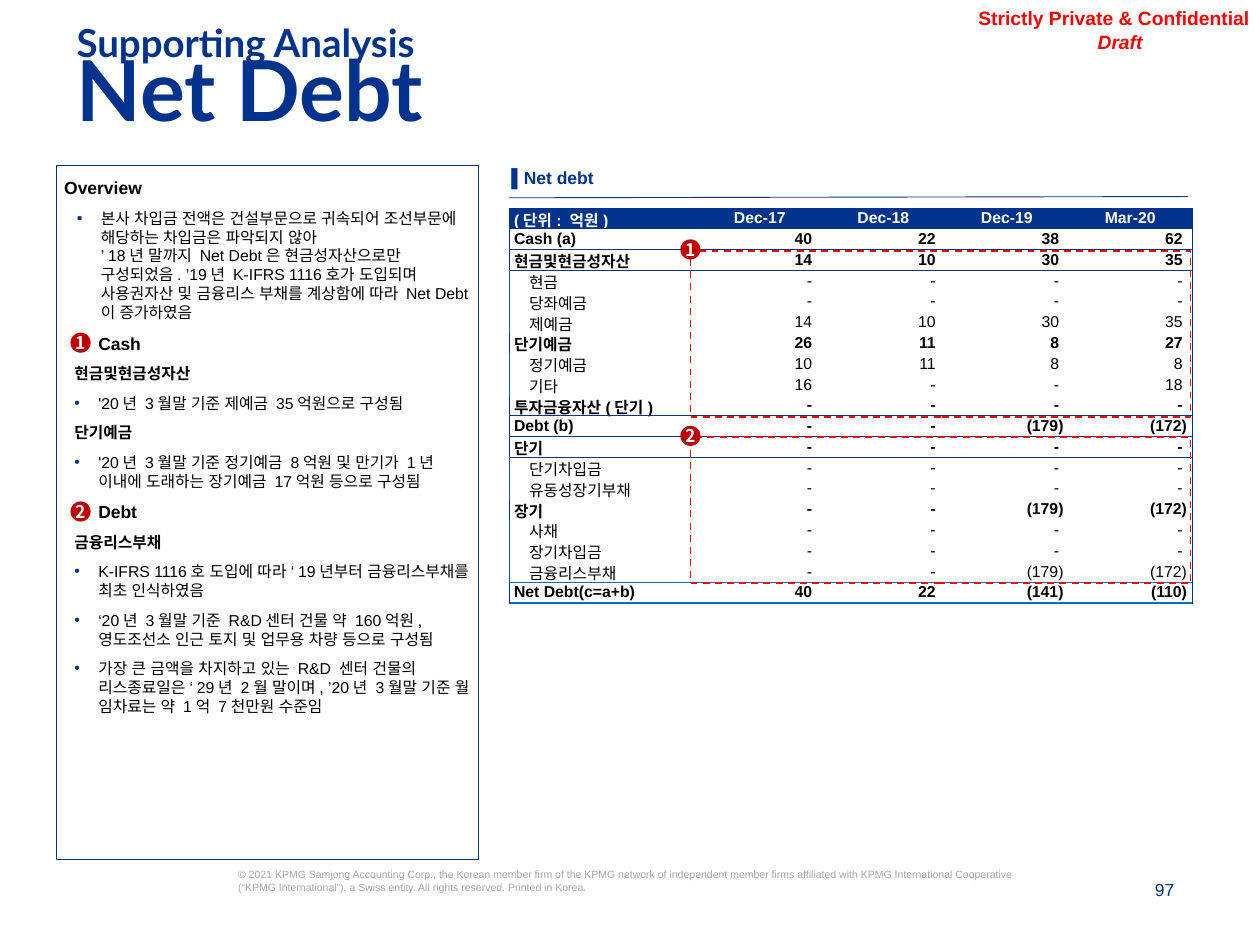
from copy import deepcopy
from itertools import groupby

from lxml import etree
from pptx import Presentation
from pptx.dml.color import RGBColor
from pptx.enum import dml, shapes, text
from pptx.oxml.ns import qn
from pptx.util import Inches, Pt

NAVY = RGBColor(0x00, 0x33, 0x8D)
BLUE = RGBColor(0x00, 0x5E, 0xB8)
SKY = RGBColor(0x00, 0x70, 0xC0)
RED = RGBColor(0xFF, 0x00, 0x00)
CRIMSON = RGBColor(0xC0, 0x00, 0x00)
GREY = RGBColor(0xA6, 0xA6, 0xA6)
BLACK = RGBColor(0x00, 0x00, 0x00)
WHITE = RGBColor(0xFF, 0xFF, 0xFF)
LATIN, KOREAN, TITLE = "Arial", "Noto Sans CJK KR", "Lato"
LEFT, CENTER, RIGHT = text.PP_ALIGN.LEFT, text.PP_ALIGN.CENTER, text.PP_ALIGN.RIGHT
TOP, MIDDLE, BOTTOM = text.MSO_ANCHOR.TOP, text.MSO_ANCHOR.MIDDLE, text.MSO_ANCHOR.BOTTOM
NO_STYLE = "{2D5ABB26-0587-4C30-8999-92F81FD0307C}"

OVERVIEW = [
    ("heading", "Overview"),
    ("square", "본사 차입금 전액은 건설부문으로 귀속되어 조선부문에 해당하는 차입금은 파악되지 않아\n"
     "’18년 말까지 Net Debt은 현금성자산으로만 구성되었음. ’19년 K-IFRS 1116호가 도입되며 "
     "사용권자산 및 금융리스 부채를 계상함에 따라 Net Debt이 증가하였음"),
    ("section", "Cash"),
    ("topic", "현금및현금성자산"),
    ("bullet", "'20년 3월말 기준 제예금 35억원으로 구성됨"),
    ("topic", "단기예금"),
    ("bullet", "'20년 3월말 기준 정기예금 8억원 및 만기가 1년 이내에 도래하는 장기예금 17억원 등으로 구성됨"),
    ("section", "Debt"),
    ("topic", "금융리스부채"),
    ("bullet", "K-IFRS 1116호 도입에 따라 ‘19년부터 금융리스부채를 최초 인식하였음"),
    ("bullet", "‘20년 3월말 기준 R&D센터 건물 약 160억원, 영도조선소 인근 토지 및 업무용 차량 등으로 구성됨"),
    ("bullet", "가장 큰 금액을 차지하고 있는 R&D 센터 건물의 리스종료일은 ‘29년 2월 말이며, "
     "’20년 3월말 기준 월 임차료는 약 1억 7천만원 수준임"),
]
OVERVIEW_STYLES = {
    "heading": dict(size=10, bold=True, spacing=1.2),
    "square": dict(margin=0.29, indent=-0.19, bullet="▪"),
    "section": dict(size=10, bold=True, margin=0.27),
    "topic": dict(bold=True, margin=0.08),
    "bullet": dict(margin=0.27, indent=-0.19, bullet="•"),
}
NET_DEBT = [
    ("total", "(단위: 억원)", "Dec-17", "Dec-18", "Dec-19", "Mar-20"),
    ("total", "Cash (a)", "40", "22", "38", "62"),
    ("group", "현금및현금성자산", "14", "10", "30", "35"),
    ("item", "현금", "-", "-", "-", "-"),
    ("item", "당좌예금", "-", "-", "-", "-"),
    ("item", "제예금", "14", "10", "30", "35"),
    ("group", "단기예금", "26", "11", "8", "27"),
    ("item", "정기예금", "10", "11", "8", "8"),
    ("item", "기타", "16", "-", "-", "18"),
    ("group", "투자금융자산(단기)", "-", "-", "-", "-"),
    ("total", "Debt (b)", "-", "-", "(179)", "(172)"),
    ("group", "단기", "-", "-", "-", "-"),
    ("item", "단기차입금", "-", "-", "-", "-"),
    ("item", "유동성장기부채", "-", "-", "-", "-"),
    ("group", "장기", "-", "-", "(179)", "(172)"),
    ("item", "사채", "-", "-", "-", "-"),
    ("item", "장기차입금", "-", "-", "-", "-"),
    ("item", "금융리스부채", "-", "-", "(179)", "(172)"),
    ("total", "Net Debt(c=a+b)", "40", "22", "(141)", "(110)"),
]
RULES_BELOW = {-1: (NAVY, 0.5), 0: (NAVY, 0.5), 1: (NAVY, 0.5), 9: (NAVY, 0.5),
               10: (NAVY, 0.5), 17: (SKY, 0.5), 18: (SKY, 1)}


def is_hangul(letter):
    return "가" <= letter <= "힣"


def write(para, words, size=9, bold=False, italic=False, color=BLACK, font=LATIN, align=LEFT,
          spacing=None, before=0, margin=0, indent=0, bullet=None, split=False):
    properties = para._p.get_or_add_pPr()
    properties.set("marL", str(Inches(margin)))
    properties.set("indent", str(Inches(indent)))
    para.alignment = align
    para.space_before = Pt(before)
    if spacing:
        para.line_spacing = spacing
    if bullet:
        tint = etree.SubElement(properties, qn("a:buClr"))
        etree.SubElement(tint, qn("a:srgbClr"), val=str(NAVY))
        etree.SubElement(properties, qn("a:buFont"), typeface=LATIN)
        etree.SubElement(properties, qn("a:buChar"), char=bullet)
    pieces = [(font, words)]
    if split:
        pieces = [(KOREAN if hangul else font, "".join(letters))
                  for hangul, letters in groupby(words, is_hangul)]
    for face, piece in pieces:
        for number, line in enumerate(piece.split("\n")):
            if number:
                para.add_line_break()
                para._p[-1].append(deepcopy(span._r.rPr))
            span = para.add_run()
            span.text = line
            span.font.name = face
            span.font.size = Pt(size)
            span.font.bold = bold
            span.font.italic = italic
            span.font.color.rgb = color
            etree.SubElement(span._r.rPr, qn("a:ea"), typeface=face)


def set_frame(frame, insets, anchor=TOP, wrap=True):
    frame.word_wrap = wrap
    frame.vertical_anchor = anchor
    frame.margin_left, frame.margin_top, frame.margin_right, frame.margin_bottom = map(Inches, insets)


def add_label(page, area, words, insets=(0, 0, 0, 0), anchor=TOP, **style):
    box = page.shapes.add_textbox(*map(Inches, area))
    set_frame(box.text_frame, insets, anchor)
    write(box.text_frame.paragraphs[0], words, **style)


def add_box(page, area, kind=shapes.MSO_SHAPE.RECTANGLE, fill=None, line=None, width=0.5):
    box = page.shapes.add_shape(kind, *map(Inches, area))
    box.shadow.inherit = False
    if fill:
        box.fill.solid()
        box.fill.fore_color.rgb = fill
    else:
        box.fill.background()
    if line:
        box.line.color.rgb = line
        box.line.width = Pt(width)
    else:
        box.line.fill.background()
    return box


def add_marker(page, left, top, number):
    marker = add_box(page, (left, top, 0.16, 0.16), shapes.MSO_SHAPE.FLOWCHART_CONNECTOR, CRIMSON)
    set_frame(marker.text_frame, (0, 0, 0, 0), MIDDLE, wrap=False)
    write(marker.text_frame.paragraphs[0], number, size=10, bold=True, color=WHITE,
          font=KOREAN, align=CENTER)


def add_frame_texts(page):
    add_label(page, (1.89, 6.89, 6.36, 0.42),
              "© 2021 KPMG Samjong Accounting Corp., the Korean member firm of the KPMG network of "
              "independent member firms affiliated with KPMG International Cooperative "
              "(“KPMG International”), a Swiss entity. All rights reserved. Printed in Korea.",
              size=6, color=GREY)
    add_label(page, (8.01, 6.98, 1.31, 0.16), "97", anchor=BOTTOM, size=10, color=NAVY, align=RIGHT)
    stamp = dict(insets=(0, 0.04, 0.04, 0.04), anchor=BOTTOM, size=11, bold=True, color=RED)
    add_label(page, (7.46, -0.01, 2.5, 0.28), "Strictly Private & Confidential", align=RIGHT, **stamp)
    add_label(page, (7.85, 0.18, 2.12, 0.28), "Draft", align=CENTER, italic=True, **stamp)
    title = dict(insets=(0.1, 0.05, 0.1, 0.05), bold=True, color=NAVY, font=TITLE, spacing=0.7)
    add_label(page, (0.51, 0.47, 9.4, 0.79), "Net Debt", size=48, **title)
    add_label(page, (0.51, 0.2, 9.4, 0.3), "Supporting Analysis", size=22, **title)


def add_overview(page, area):
    box = add_box(page, area, line=NAVY)
    set_frame(box.text_frame, (0.06, 0.06, 0.06, 0.06))
    for index, (kind, words) in enumerate(OVERVIEW):
        para = box.text_frame.add_paragraph() if index else box.text_frame.paragraphs[0]
        write(para, words, before=6 if index else 0, **OVERVIEW_STYLES[kind])
    for number, top in (("1", 2.64), ("2", 3.98)):
        add_marker(page, area[0] + 0.11, top, number)


def set_border(cell, side, color, width):
    line = etree.SubElement(cell._tc.get_or_add_tcPr(), qn("a:ln" + side), w=str(Pt(width)))
    fill = etree.SubElement(line, qn("a:solidFill"))
    etree.SubElement(fill, qn("a:srgbClr"), val=str(color))


def fill_cell(cell, row, column, kind, words):
    header, label, item = row == 0, column == 0, kind == "item"
    cell.margin_left = Inches(0.16 if label and item else 0.04 if label or header else 0)
    cell.margin_right = Inches(0 if label else 0.04)
    cell.margin_top = cell.margin_bottom = 0
    cell.vertical_anchor = BOTTOM if label and item else MIDDLE
    if not (label or header or words.endswith(")")):
        words += " "
    write(cell.text_frame.paragraphs[0], words, bold=not item, split=True,
          color=WHITE if header else BLACK,
          align=LEFT if label else CENTER if header else RIGHT)
    if label:
        set_border(cell, "L", BLUE if item else NAVY, 0.5)
    if column == 4:
        set_border(cell, "R", NAVY, 0.5)
    for side, rule in (("T", row - 1), ("B", row)):
        if rule in RULES_BELOW:
            set_border(cell, side, *RULES_BELOW[rule])
    if header:
        cell.fill.solid()
        cell.fill.fore_color.rgb = NAVY
    else:
        cell.fill.background()


def add_net_debt(page, area):
    left, top, width, height = area
    rule = page.shapes.add_connector(shapes.MSO_CONNECTOR.STRAIGHT, Inches(left), Inches(1.57),
                                     Inches(9.43), Inches(1.56))
    rule.line.color.rgb = NAVY
    rule.line.width = Pt(0.5)
    etree.SubElement(rule._element.spPr, qn("a:effectLst"))
    add_label(page, (4.06, 1.2, 5.4, 0.39), "▌Net debt", anchor=MIDDLE, size=10, bold=True,
              color=NAVY, spacing=1.2)
    table = page.shapes.add_table(len(NET_DEBT), 5, *map(Inches, area)).table
    table._tbl.tblPr.find(qn("a:tableStyleId")).text = NO_STYLE
    table.first_row = table.horz_banding = False
    for index, column in enumerate(table.columns):
        column.width = Inches(0.98 if index else 1.5)
    for row, (kind, *values) in enumerate(NET_DEBT):
        table.rows[row].height = int(Inches(height) / len(NET_DEBT))
        for column, words in enumerate(values):
            fill_cell(table.cell(row, column), row, column, kind, words)
    for number, start, tall in (("1", 1.99, 1.32), ("2", 3.47, 1.16)):
        outline = add_box(page, (5.48, start, 3.97, tall), line=RED, width=1)
        outline.line.dash_style = dml.MSO_LINE.DASH
        add_marker(page, 5.4, start - 0.09, number)


def main():
    deck = Presentation()
    deck.slide_width, deck.slide_height = Inches(10), Inches(7.5)
    page = deck.slides.add_slide(deck.slide_layouts[6])
    add_frame_texts(page)
    add_overview(page, (0.45, 1.31, 3.35, 5.51))
    add_net_debt(page, (4.04, 1.65, 5.42, 3.14))
    deck.save("out.pptx")


if __name__ == "__main__":
    main()
